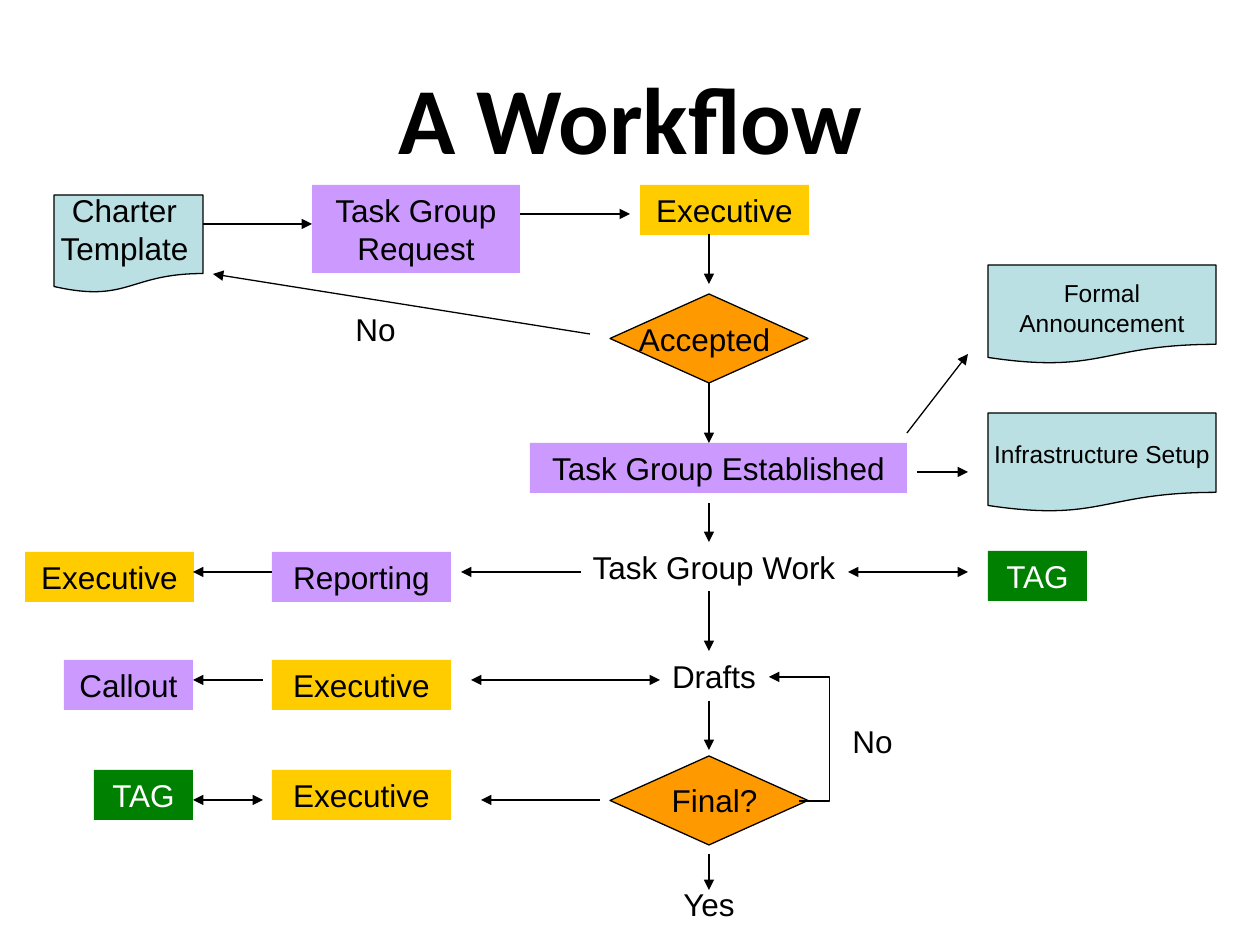
from lxml import etree
from pptx import Presentation
from pptx.dml.color import RGBColor
from pptx.enum.shapes import MSO_CONNECTOR, MSO_SHAPE
from pptx.enum.text import MSO_ANCHOR, MSO_AUTO_SIZE, PP_ALIGN
from pptx.oxml.ns import qn
from pptx.util import Pt

SCALE = 914400 / 126
RECT = MSO_SHAPE.RECTANGLE
DOC = MSO_SHAPE.FLOWCHART_DOCUMENT
GATE = MSO_SHAPE.FLOWCHART_DECISION
LINE = MSO_CONNECTOR.STRAIGHT
BENT = MSO_CONNECTOR.ELBOW
MID = MSO_ANCHOR.MIDDLE
TOP = MSO_ANCHOR.TOP
GROW = MSO_AUTO_SIZE.SHAPE_TO_FIT_TEXT
LEFT = PP_ALIGN.LEFT
CENTER = PP_ALIGN.CENTER

BLACK = RGBColor(0x00, 0x00, 0x00)
WHITE = RGBColor(0xFF, 0xFF, 0xFF)
PURPLE = RGBColor(0xCC, 0x99, 0xFF)
YELLOW = RGBColor(0xFF, 0xCC, 0x00)
GREEN = RGBColor(0x00, 0x80, 0x00)
ORANGE = RGBColor(0xFF, 0x99, 0x00)
BLUE = RGBColor(0xBB, 0xE0, 0xE3)

ROW = 50
AXIS = 709

BOXES = [
    ("Task Group\nRequest", 312, 185, 208, 88, PURPLE),
    ("Executive", 640, 185, 169, ROW, YELLOW),
    ("Task Group Established", 530, 443, 377, ROW, PURPLE),
    ("Executive", 25, 552, 169, ROW, YELLOW),
    ("Reporting", 272, 552, 179, ROW, PURPLE),
    ("TAG", 988, 551, 99, ROW, GREEN),
    ("Callout", 64, 660, 129, ROW, PURPLE),
    ("Executive", 272, 660, 179, ROW, YELLOW),
    ("TAG", 94, 770, 99, ROW, GREEN),
    ("Executive", 272, 770, 179, ROW, YELLOW),
]

DOCS = [(54, 195, 149, 98), (988, 265, 228, 99), (988, 413, 228, 99)]

LABELS = [
    ("Charter\nTemplate", 34, 185, 181, 88, 18, CENTER),
    ("Accepted", 620, 314, 169, ROW, 18, CENTER),
    ("No", 343, 304, 79, ROW, 18, LEFT),
    ("Formal Announcement", 978, 272, 248, 72, 14, CENTER),
    ("Infrastructure Setup", 978, 433, 248, 43, 14, CENTER),
    ("Task Group Work", 491, 542, 446, ROW, 18, CENTER),
    ("Drafts", 659, 651, 110, ROW, 18, CENTER),
    ("No", 838, 716, 69, ROW, 18, CENTER),
    ("Final?", 630, 775, 169, ROW, 18, CENTER),
    ("Yes", 650, 879, 118, ROW, 18, CENTER),
]

FLOWS = [
    (203, 224, 312, 224),
    (520, 214, 630, 214),
    (590, 334, 213, 274),
    (907, 433, 968, 354),
    (917, 472, 968, 472),
    (272, 572, 193, 572),
    (581, 572, 461, 572),
    (263, 680, 193, 680),
    (600, 800, 481, 800),
]
DROPS = [(234, 284), (503, 542), (591, 651), (701, 750), (854, 890)]
PAIRS = [
    (968, 572, 848, 572),
    (660, 680, 471, 680),
    (193, 800, 263, 800),
]


def px(num):
    return round(num * SCALE)


def write(frame, text, size, color, align, face="Arial", bold=False):
    frame.word_wrap = True
    para = frame.paragraphs[0]
    para.text = text
    para.alignment = align
    para.space_before = Pt(0)
    font = para.font
    font.name = face
    font.size = Pt(size)
    font.bold = bold
    font.color.rgb = color


def add_title(slide, text):
    title = slide.shapes.title
    title.left, title.top = px(63), px(38)
    title.width, title.height = px(1134), px(158)
    write(title.text_frame, text, 54, BLACK, CENTER, "Calibri", True)
    title.text_frame.vertical_anchor = MID


def add_form(slide, kind, x, y, w, h, fill, edge=True):
    form = slide.shapes.add_shape(kind, px(x), px(y), px(w), px(h))
    form.shadow.inherit = False
    form.fill.solid()
    form.fill.fore_color.rgb = fill
    if edge:
        form.line.color.rgb = BLACK
        form.line.width = Pt(0.75)
    else:
        form.line.fill.background()
    return form


def add_box(slide, text, x, y, w, h, fill):
    box = add_form(slide, RECT, x, y, w, h, fill, False)
    color = WHITE if fill == GREEN else BLACK
    write(box.text_frame, text, 18, color, CENTER)
    box.text_frame.vertical_anchor = TOP
    box.text_frame.auto_size = GROW


def add_label(slide, text, x, y, w, h, size, align):
    label = slide.shapes.add_textbox(px(x), px(y), px(w), px(h))
    write(label.text_frame, text, size, BLACK, align)
    label.text_frame.auto_size = GROW


def add_arrow(slide, x1, y1, x2, y2, both=False, kind=LINE):
    arrow = slide.shapes.add_connector(kind, px(x1), px(y1), px(x2), px(y2))
    arrow.line.color.rgb = BLACK
    arrow.line.width = Pt(0.75)
    edge = arrow.line._get_or_add_ln()
    for end in ("a:headEnd", "a:tailEnd") if both else ("a:tailEnd",):
        etree.SubElement(edge, qn(end), type="triangle")
    etree.SubElement(arrow._element.spPr, qn("a:effectLst"))
    return arrow


def add_loop(slide):
    loop = add_arrow(slide, 799, 801, 769, 677, kind=BENT)
    guides = loop._element.spPr.find(qn("a:prstGeom")).get_or_add_avLst()
    etree.SubElement(guides, qn("a:gd"), name="adj1", fmla="val -102000")


def main():
    deck = Presentation()
    deck.slide_width, deck.slide_height = px(1260), px(945)
    slide = deck.slides.add_slide(deck.slide_layouts[5])
    add_title(slide, "A Workflow")
    for box in BOXES:
        add_box(slide, *box)
    for place in DOCS:
        add_form(slide, DOC, *place, BLUE)
    gate = add_form(slide, GATE, 610, 294, 198, 89, ORANGE)
    add_form(slide, GATE, 610, 756, 198, 89, ORANGE)
    for label in LABELS:
        add_label(slide, *label)
    for flow in FLOWS:
        add_arrow(slide, *flow)
    for start, end in DROPS:
        add_arrow(slide, AXIS, start, AXIS, end)
    for pair in PAIRS:
        add_arrow(slide, *pair, both=True)
    add_arrow(slide, AXIS, 383, AXIS, 443).begin_connect(gate, 2)
    add_loop(slide)
    deck.save("out.pptx")


if __name__ == "__main__":
    main()
